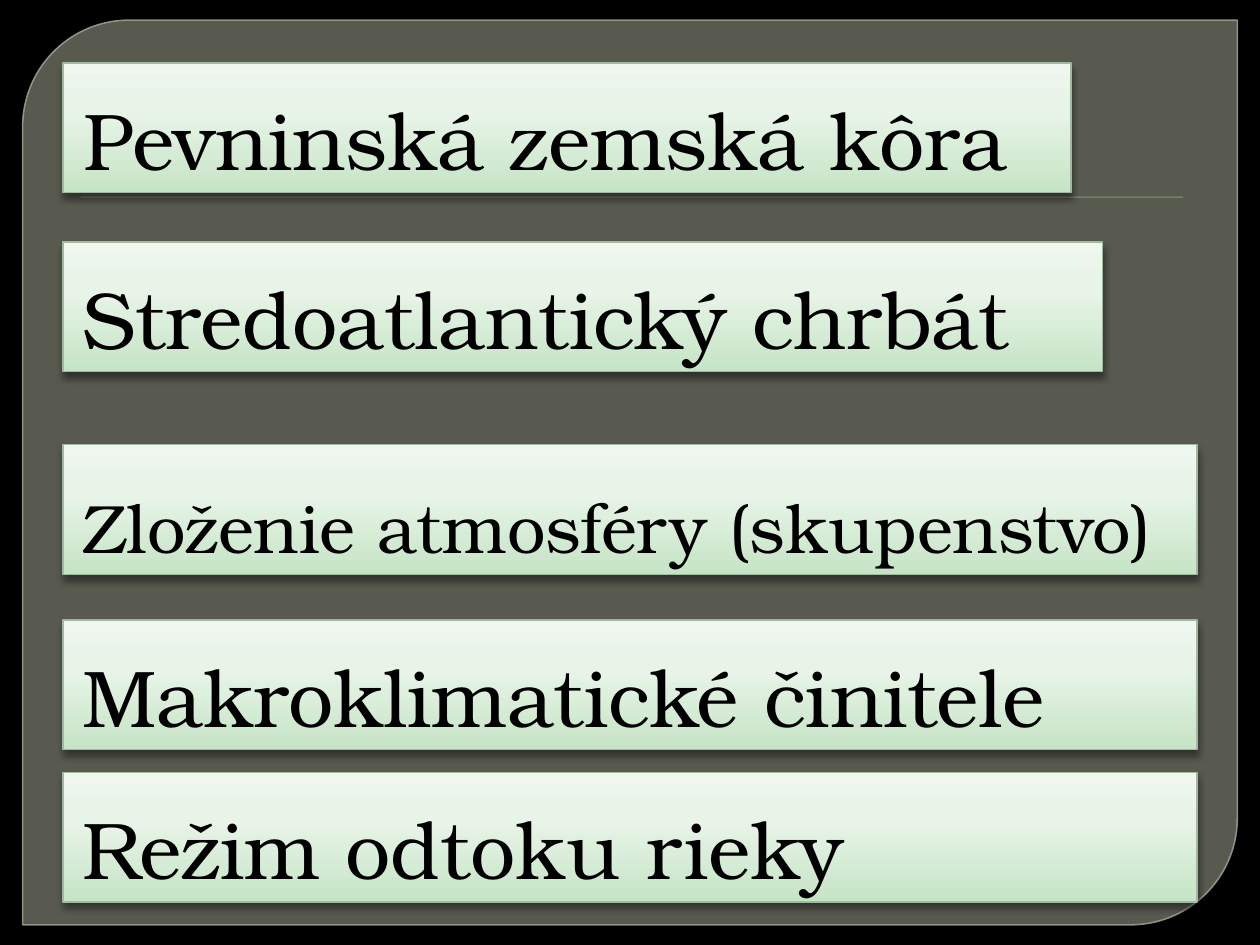
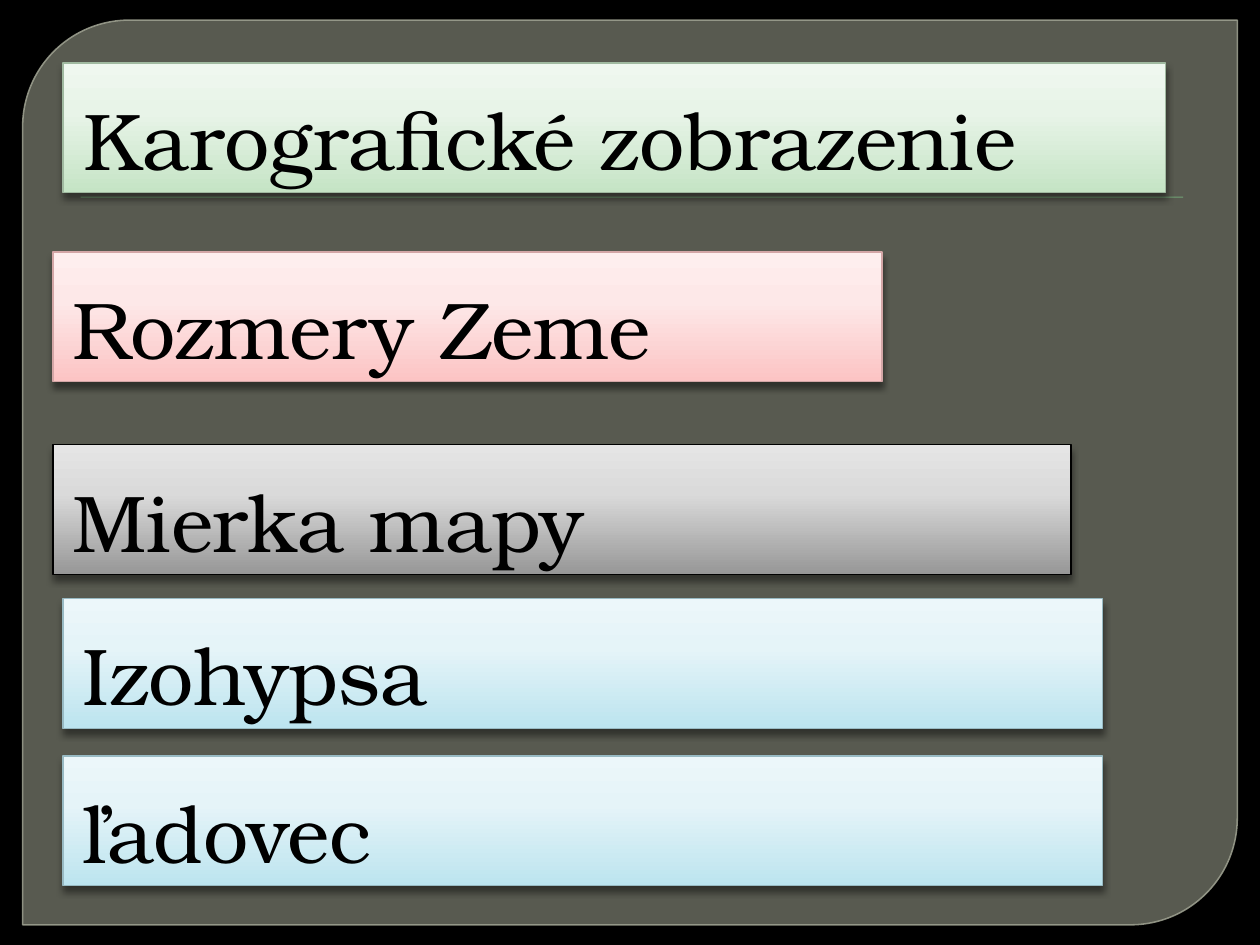
from dataclasses import dataclass

from lxml import etree
from pptx import Presentation
from pptx import util as u
from pptx.dml.color import RGBColor
from pptx.enum import shapes, text
from pptx.oxml.ns import qn


@dataclass(frozen=True)
class Tint:
    """Gradient colours from the bottom edge to the top, and the outline."""
    stops: tuple
    line: str


@dataclass(frozen=True)
class Theme:
    font: str = "TeX Gyre Bonum"
    size: float = 46
    small_size: float = 39.1
    ink: str = "000000"
    background: str = "000000"
    frame: str = "888B7B"
    frame_line: str = "9DA090"
    rule: str = "72A376"
    green: Tint = Tint(("C5E4C5", "E8F4E8", "EFF7EF"), "A0B9A0")
    red: Tint = Tint(("FCC4C4", "FDE8E8", "FEEEEE"), "D3A6A6")
    gray: Tint = Tint(("979797", "DADADA", "E5E5E5"), "000000")
    blue: Tint = Tint(("BCE4EF", "E5F4F8", "ECF7FA"), "98BAC3")


THEME = Theme()
STOP_POSITIONS = (0, 62, 100)
LEFT = 0.5
OUTER_LEFT = 0.42
BAND_HEIGHT = 1.03


def color(value):
    return RGBColor.from_string(value)


def set_alpha(fill_parent, percent):
    for node in fill_parent.iter(qn("a:srgbClr")):
        etree.SubElement(node, qn("a:alpha"), val=str(percent * 1000))


def add_shadow(shape, opacity, blur, distance):
    """Give the shape a shadow that falls straight down."""
    shape.shadow.inherit = False
    effects = shape.element.spPr.find(qn("a:effectLst"))
    outer = etree.SubElement(
        effects, qn("a:outerShdw"), blurRad=str(u.Pt(blur)), dist=str(u.Pt(distance)),
        dir="5400000", algn="ctr", rotWithShape="0")
    etree.SubElement(outer, qn("a:srgbClr"), val="000000")
    set_alpha(outer, opacity)


def fill_gradient(shape, stops):
    shape.fill.gradient()
    shape.fill.gradient_angle = 90
    stop_list = shape.element.spPr.find(".//" + qn("a:gsLst"))
    for stop in list(stop_list):
        stop_list.remove(stop)
    for position, value in zip(STOP_POSITIONS, stops):
        stop = etree.SubElement(stop_list, qn("a:gs"), pos=str(position * 1000))
        etree.SubElement(stop, qn("a:srgbClr"), val=value)


def write_text(shape, wording, size=THEME.size, spacing=1.0):
    frame = shape.text_frame
    frame.word_wrap = True
    frame.auto_size = text.MSO_AUTO_SIZE.NONE
    frame.vertical_anchor = text.MSO_ANCHOR.BOTTOM
    para = frame.paragraphs[0]
    para.alignment = text.PP_ALIGN.LEFT
    para.line_spacing = spacing
    para.space_before = u.Pt(0)
    properties = para._p.get_or_add_pPr()
    properties.set("marL", str(u.Inches(0.06)))
    properties.set("indent", "0")
    span = para.add_run()
    span.text = wording
    span.font.name = THEME.font
    span.font.size = u.Pt(size)
    span.font.color.rgb = color(THEME.ink)


def add_box(page, kind, left, top, width, height):
    return page.shapes.add_shape(
        kind, u.Inches(left), u.Inches(top), u.Inches(width), u.Inches(height))


def add_backdrop(page):
    """Draw the rounded frame and the thin rule below the title."""
    frame = add_box(page, shapes.MSO_SHAPE.ROUND_2_DIAG_RECTANGLE, 0.18, 0.16, 9.64, 7.18)
    frame.adjustments[0] = 0.118
    frame.adjustments[1] = 0
    frame.shadow.inherit = False
    frame.fill.solid()
    frame.fill.fore_color.rgb = color(THEME.frame)
    set_alpha(frame.element.spPr, 65)
    frame.line.width = u.Pt(0.87)
    frame.line.color.rgb = color(THEME.frame_line)
    set_alpha(frame.element.spPr.find(qn("a:ln")), 88)

    rule = add_box(page, shapes.MSO_SHAPE.RECTANGLE, 0.64, 1.56, 8.75, 0.01)
    rule.fill.solid()
    rule.fill.fore_color.rgb = color(THEME.rule)
    rule.line.fill.background()
    add_shadow(rule, 75, 1, 1)


def style_band(band, wording, tint, **text_format):
    fill_gradient(band, tint.stops)
    band.line.color.rgb = color(tint.line)
    band.line.width = u.Pt(0.75)
    add_shadow(band, 43, 4, 3)
    write_text(band, wording, **text_format)


def add_band(page, wording, top, width, left=LEFT, tint=THEME.green, **text_format):
    band = add_box(page, shapes.MSO_SHAPE.RECTANGLE, left, top, width, BAND_HEIGHT)
    style_band(band, wording, tint, **text_format)


def add_page(deck, heading, width):
    page = deck.slides.add_slide(deck.slide_layouts[5])
    add_backdrop(page)
    title = page.shapes.title
    title.left, title.top = u.Inches(LEFT), u.Inches(0.5)
    title.width, title.height = u.Inches(width), u.Inches(BAND_HEIGHT)
    style_band(title, heading, THEME.green)
    title.element.getparent().append(title.element)  # in front of the backdrop
    return page


def main():
    deck = Presentation()
    deck.slide_width, deck.slide_height = u.Inches(10), u.Inches(7.5)
    background = deck.slide_master.background.fill
    background.solid()
    background.fore_color.rgb = color(THEME.background)

    earth = add_page(deck, "Pevninská zemská kôra", 8)
    add_band(earth, "Stredoatlantický chrbát", 1.92, 8.25)
    add_band(earth, "Zloženie atmosféry (skupenstvo)", 3.53, 9,
             size=THEME.small_size, spacing=0.9)
    add_band(earth, "Makroklimatické činitele", 4.92, 9)
    add_band(earth, "Režim odtoku rieky", 6.13, 9)

    maps = add_page(deck, "Karografické zobrazenie", 8.75)
    add_band(maps, "Rozmery Zeme", 2, 6.58, left=OUTER_LEFT, tint=THEME.red)
    add_band(maps, "Mierka mapy", 3.53, 8.08, left=OUTER_LEFT, tint=THEME.gray)
    add_band(maps, "Izohypsa", 4.75, 8.25, tint=THEME.blue)
    add_band(maps, "ľadovec", 6, 8.25, tint=THEME.blue)

    deck.save("out.pptx")


if __name__ == "__main__":
    main()
